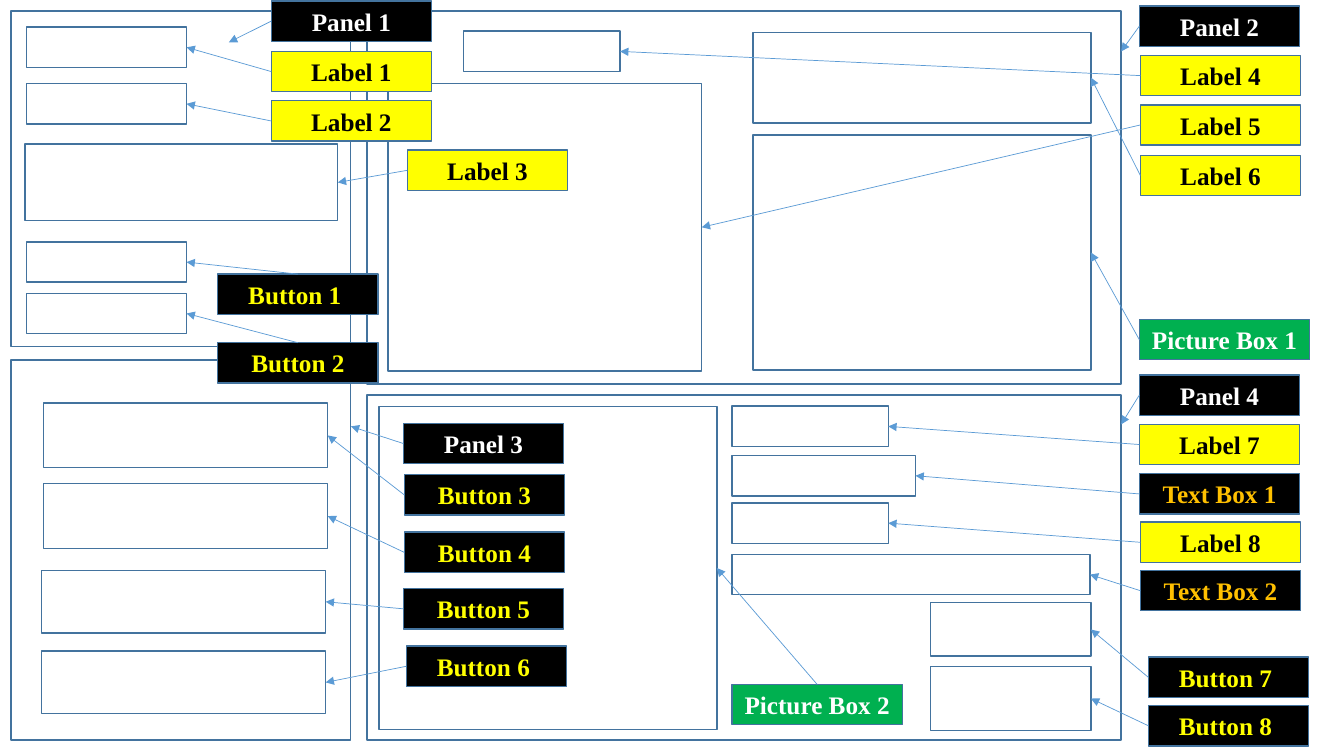
from lxml.etree import SubElement
from pptx import Presentation
from pptx.dml.color import RGBColor
from pptx.enum.shapes import MSO_CONNECTOR, MSO_SHAPE
from pptx.enum.text import MSO_ANCHOR, PP_ALIGN
from pptx.oxml.ns import qn
from pptx.util import Inches, Pt

COLORS = {"border": "43739E", "arrow": "5B9BD5", "black": "000000", "white": "FFFFFF",
          "yellow": "FFFF00", "green": "00B050", "orange": "FFC000"}
# Kind of control: (tag fill, tag text colour, tag width)
KINDS = {"Panel": ("black", "white", 1.59), "Label": ("yellow", "black", 1.59),
         "Button": ("black", "yellow", 1.59), "Text Box": ("black", "orange", 1.59),
         "Picture Box": ("green", "white", 1.69)}
FONT = {"name": "Times New Roman", "size": Pt(18), "bold": True}
TAG_H = 0.4
TOP, LEFT, RIGHT = 0, 1, 3  # connection sites of a rectangle

# Panel: (box, tag place, arrow end, controls), the last three relative to the box.
# Control: (tag text, tag place, control box, side of the tag where the arrow starts)
PANELS = {
    "Panel 1": ((0.11, 0.11, 3.37, 3.33), (2.58, -0.1), (2.16, 0.31), [
        ("Label 1", (2.58, 0.4), (0.15, 0.16, 1.59, 0.4), LEFT),
        ("Label 2", (2.58, 0.89), (0.15, 0.72, 1.59, 0.4), LEFT),
        ("Label 3", (3.93, 1.38), (0.14, 1.32, 3.1, 0.76), LEFT),
        ("Button 1 ", (2.05, 2.61), (0.15, 2.29, 1.59, 0.4), TOP),
        ("Button 2", (2.05, 3.29), (0.15, 2.8, 1.59, 0.4), TOP)]),
    "Panel 2": ((3.64, 0.11, 7.48, 3.7), (7.66, -0.05), (7.48, 0.4), [
        ("Label 4", (7.67, 0.44), (0.96, 0.2, 1.55, 0.4), LEFT),
        ("Label 5", (7.67, 0.93), (0.21, 0.72, 3.11, 2.85), LEFT),
        ("Label 6", (7.67, 1.43), (3.83, 0.21, 3.35, 0.9), LEFT),
        ("Picture Box 1", (7.66, 3.06), (3.83, 1.23, 3.35, 2.33), LEFT)]),
    "Panel 3": ((0.11, 3.57, 3.37, 3.77), (3.89, 0.63), (3.37, 0.66), [
        ("Button 3", (3.9, 1.14), (0.32, 0.43, 2.82, 0.64), LEFT),
        ("Button 4", (3.9, 1.71), (0.32, 1.23, 2.82, 0.64), LEFT),
        ("Button 5", (3.89, 2.27), (0.3, 2.09, 2.82, 0.62), LEFT),
        ("Button 6 ", (3.92, 2.84), (0.3, 2.89, 2.82, 0.62), LEFT)]),
    "Panel 4": ((3.64, 3.92, 7.48, 3.42), (7.66, -0.2), (7.48, 0.29), [
        ("Label 7", (7.66, 0.29), (3.62, 0.11, 1.55, 0.4), LEFT),
        ("Text Box 1", (7.66, 0.78), (3.62, 0.6, 1.82, 0.4), LEFT),
        ("Label 8", (7.67, 1.26), (3.62, 1.07, 1.55, 0.4), LEFT),
        ("Text Box 2", (7.67, 1.74), (3.62, 1.58, 3.55, 0.4), LEFT),
        ("Button 7 ", (7.75, 2.6), (5.59, 2.06, 1.59, 0.53), LEFT),
        ("Button 8 ", (7.75, 3.08), (5.59, 2.69, 1.59, 0.64), LEFT),
        ("Picture Box 2", (3.62, 2.87), (0.12, 0.11, 3.35, 3.21), TOP)]),
}


def rgb(name):
    """Return the named colour."""
    return RGBColor.from_string(COLORS[name])


def add_rect(s, x, y, w, h, fill=None):
    """Add a bordered rectangle, hollow unless a fill is named."""
    sp = s.shapes.add_shape(MSO_SHAPE.RECTANGLE, *map(Inches, (x, y, w, h)))
    sp.shadow.inherit = False
    if fill:
        sp.fill.solid()
        sp.fill.fore_color.rgb = rgb(fill)
    else:
        sp.fill.background()
    sp.line.color.rgb = rgb("border")
    sp.line.width = Pt(1)
    return sp


def add_tag(s, x, y, text):
    """Add the coloured name tag of a panel or control."""
    fill, color, width = KINDS[text.strip().rsplit(" ", 1)[0]]
    sp = add_rect(s, x, y, width, TAG_H, fill)
    tf = sp.text_frame
    tf.vertical_anchor = MSO_ANCHOR.MIDDLE
    p = tf.paragraphs[0]
    p.alignment = PP_ALIGN.CENTER
    r = p.add_run()
    r.text = text
    for key, value in FONT.items():
        setattr(r.font, key, value)
    r.font.color.rgb = rgb(color)
    return sp


def add_arrow(s, tag, side, frame=None, end=(0, 0)):
    """Add an arrow from a tag to the right side of a frame, or to a free point."""
    cx = s.shapes.add_connector(MSO_CONNECTOR.STRAIGHT, 0, 0, *map(Inches, end))
    cx.begin_connect(tag, side)
    if frame is not None:
        cx.end_connect(frame, RIGHT)
    cx.line.color.rgb = rgb("arrow")
    cx.line.width = Pt(0.5)
    SubElement(cx.line._get_or_add_ln(), qn("a:tailEnd"), type="triangle")
    SubElement(cx._element.spPr, qn("a:effectLst"))


def draw_frames(s, box, controls):
    """Draw a panel and its empty controls; return the control frames."""
    add_rect(s, *box)
    left, top = box[:2]
    return [add_rect(s, left + x, top + y, w, h) for _, _, (x, y, w, h), _ in controls]


def draw_tags(s, name, box, place, end, controls, frames):
    """Draw the tags of a panel and its controls, each with its arrow."""
    left, top = box[:2]
    tag = add_tag(s, left + place[0], top + place[1], name)
    add_arrow(s, tag, LEFT, end=(left + end[0], top + end[1]))
    for (text, (x, y), _, side), frame in zip(controls, frames):
        add_arrow(s, add_tag(s, left + x, top + y, text), side, frame)


def main():
    """Build the form layout slide."""
    prs = Presentation()
    prs.slide_width, prs.slide_height = Inches(13.33), Inches(7.5)
    s = prs.slides.add_slide(prs.slide_layouts[6])
    frames = {name: draw_frames(s, box, controls)
              for name, (box, _, _, controls) in PANELS.items()}
    for name, panel in PANELS.items():
        draw_tags(s, name, *panel, frames[name])
    prs.save("out.pptx")


main()
